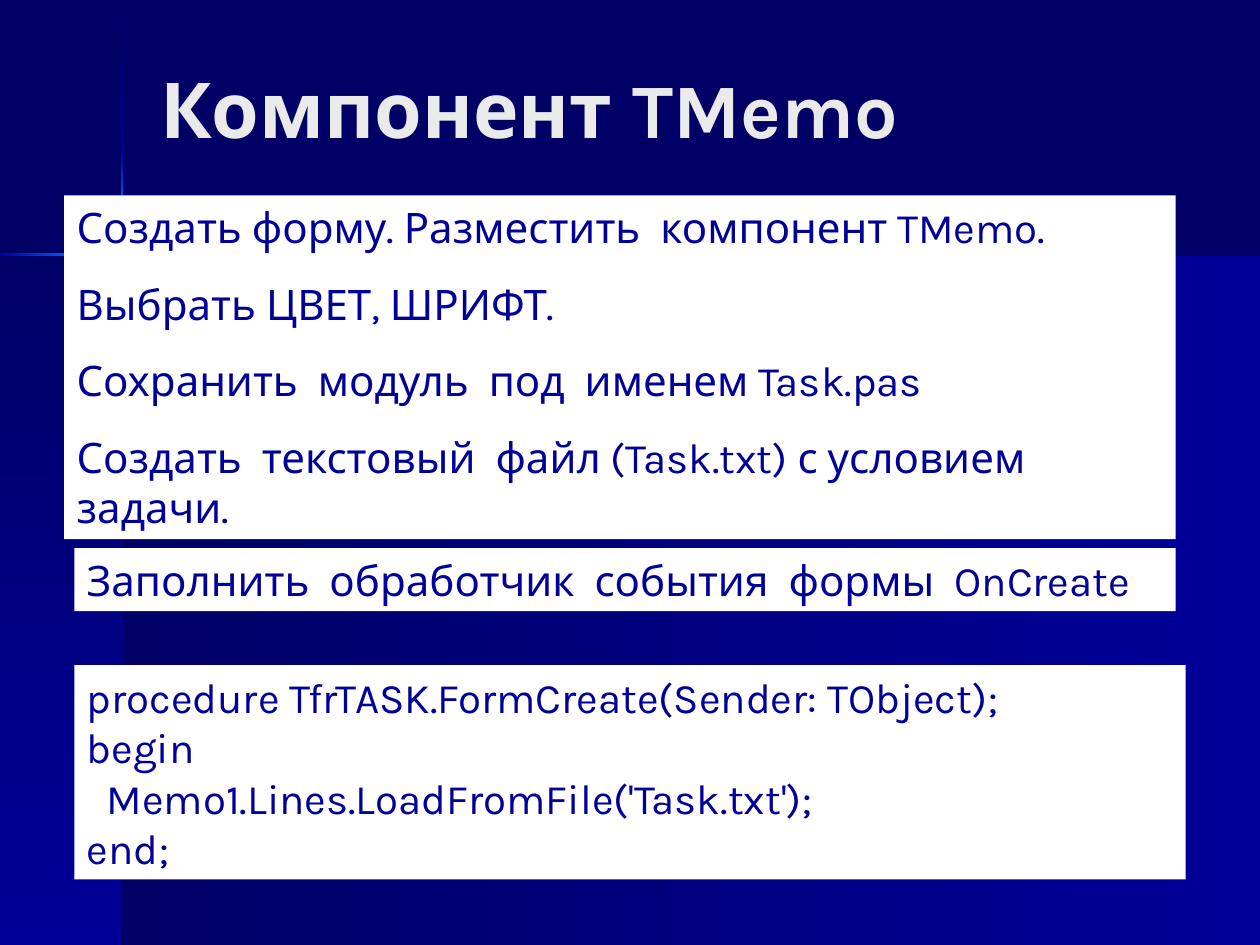
from dataclasses import dataclass

from pptx import Presentation
from pptx.dml.color import RGBColor
from pptx.enum.shapes import MSO_SHAPE as Preset
from pptx.enum.text import MSO_ANCHOR as Anchor, MSO_AUTO_SIZE as AutoSize, PP_ALIGN as Align
from pptx.util import Inches, Pt

WIDTH, HEIGHT = 10, 7.5
FONT = "Karla"
NAVY = RGBColor(0x00, 0x00, 0x66)
BLUE = RGBColor(0x00, 0x00, 0x99)
GLOW = RGBColor(0x00, 0x66, 0xFF)
WHITE = RGBColor(0xFF, 0xFF, 0xFF)
PALE = RGBColor(0xEA, 0xEA, 0xEA)

# Gradient angles, counter-clockwise
RIGHTWARD, DOWNWARD = 0, 270

# The backdrop is split by a vertical and a horizontal line
SPLIT_X, SPLIT_Y, RULE = 0.97, 2.02, 0.02
RULE_X, RULE_Y = SPLIT_X - RULE / 2, SPLIT_Y - RULE / 2


@dataclass(frozen=True)
class Area:
    """A rectangle in inches on the slide."""
    left: float
    top: float
    width: float
    height: float

    def lengths(self):
        return [Inches(n) for n in (self.left, self.top, self.width, self.height)]


@dataclass(frozen=True)
class Band:
    area: Area
    start: RGBColor
    end: RGBColor
    angle: int


@dataclass(frozen=True)
class Card:
    area: Area
    lines: tuple[str, ...]
    space_before: float = 0


def column_rule(top: float, bottom: float, start: RGBColor, end: RGBColor) -> Band:
    return Band(Area(RULE_X, top, RULE, bottom - top), start, end, DOWNWARD)


def row_rule(left: float, right: float, start: RGBColor, end: RGBColor) -> Band:
    return Band(Area(left, RULE_Y, right - left, RULE), start, end, RIGHTWARD)


BANDS = (
    Band(Area(SPLIT_X, SPLIT_Y, WIDTH - SPLIT_X, HEIGHT - SPLIT_Y), NAVY, BLUE, RIGHTWARD),
    Band(Area(0, SPLIT_Y, SPLIT_X, HEIGHT - SPLIT_Y), NAVY, BLUE, DOWNWARD),
    column_rule(0.01, 1.21, NAVY, BLUE),
    column_rule(2.82, HEIGHT, BLUE, NAVY),
    row_rule(1.77, WIDTH, BLUE, NAVY),
    column_rule(1.21, 1.65, BLUE, GLOW),
    row_rule(0, 0.61, BLUE, GLOW),
)

CARDS = (
    Card(Area(0.51, 1.55, 8.82, 2.73), (
        "Создать форму. Разместить  компонент TMemo.",
        "Выбрать ЦВЕТ, ШРИФТ.",
        "Сохранить  модуль  под  именем Task.pas",
        "Создать  текстовый  файл (Task.txt) с условием задачи.",
    ), 15),
    Card(Area(0.59, 4.35, 8.74, 0.5), (
        "Заполнить  обработчик  события  формы  OnCreate",
    ), 15),
    Card(Area(0.59, 5.28, 8.82, 1.7), (
        "procedure TfrTASK.FormCreate(Sender: TObject);",
        "begin",
        "  Memo1.Lines.LoadFromFile('Task.txt');",
        "end;",
    )),
)


def add_rectangle(page, area: Area):
    box = page.shapes.add_shape(Preset.RECTANGLE, *area.lengths())
    box.shadow.inherit = False
    box.line.fill.background()
    return box


def draw_band(page, band: Band) -> None:
    fill = add_rectangle(page, band.area).fill
    fill.gradient()
    fill.gradient_angle = band.angle
    for stop, color in zip(fill.gradient_stops, (band.start, band.end)):
        stop.color.rgb = color


def style_paragraph(para, size: float, color: RGBColor, bold: bool = False) -> None:
    para.alignment = Align.LEFT
    para.font.name = FONT
    para.font.size = Pt(size)
    para.font.bold = bold
    para.font.color.rgb = color


def draw_card(page, card: Card) -> None:
    box = add_rectangle(page, card.area)
    box.fill.solid()
    box.fill.fore_color.rgb = WHITE
    frame = box.text_frame
    frame.word_wrap = True
    frame.auto_size = AutoSize.SHAPE_TO_FIT_TEXT
    frame.vertical_anchor = Anchor.TOP
    frame.text = "\n".join(card.lines)
    for para in frame.paragraphs:
        para.space_before = Pt(card.space_before)
        style_paragraph(para, 24, BLUE)


def set_title(page, text: str, area: Area) -> None:
    title = page.shapes.title
    title.left, title.top, title.width, title.height = area.lengths()
    frame = title.text_frame
    frame.text = text
    frame.auto_size = AutoSize.NONE
    frame.vertical_anchor = Anchor.MIDDLE
    style_paragraph(frame.paragraphs[0], 44, PALE, bold=True)


def main() -> None:
    deck = Presentation()
    deck.slide_width, deck.slide_height = Inches(WIDTH), Inches(HEIGHT)
    title_only = deck.slide_layouts[5]
    page = deck.slides.add_slide(title_only)
    page.background.fill.solid()
    page.background.fill.fore_color.rgb = NAVY
    for band in BANDS:
        draw_band(page, band)
    set_title(page, "Компонент TMemo", Area(1.17, 0.33, 6.2, 1.05))
    for card in CARDS:
        draw_card(page, card)
    deck.save("out.pptx")


if __name__ == "__main__":
    main()
